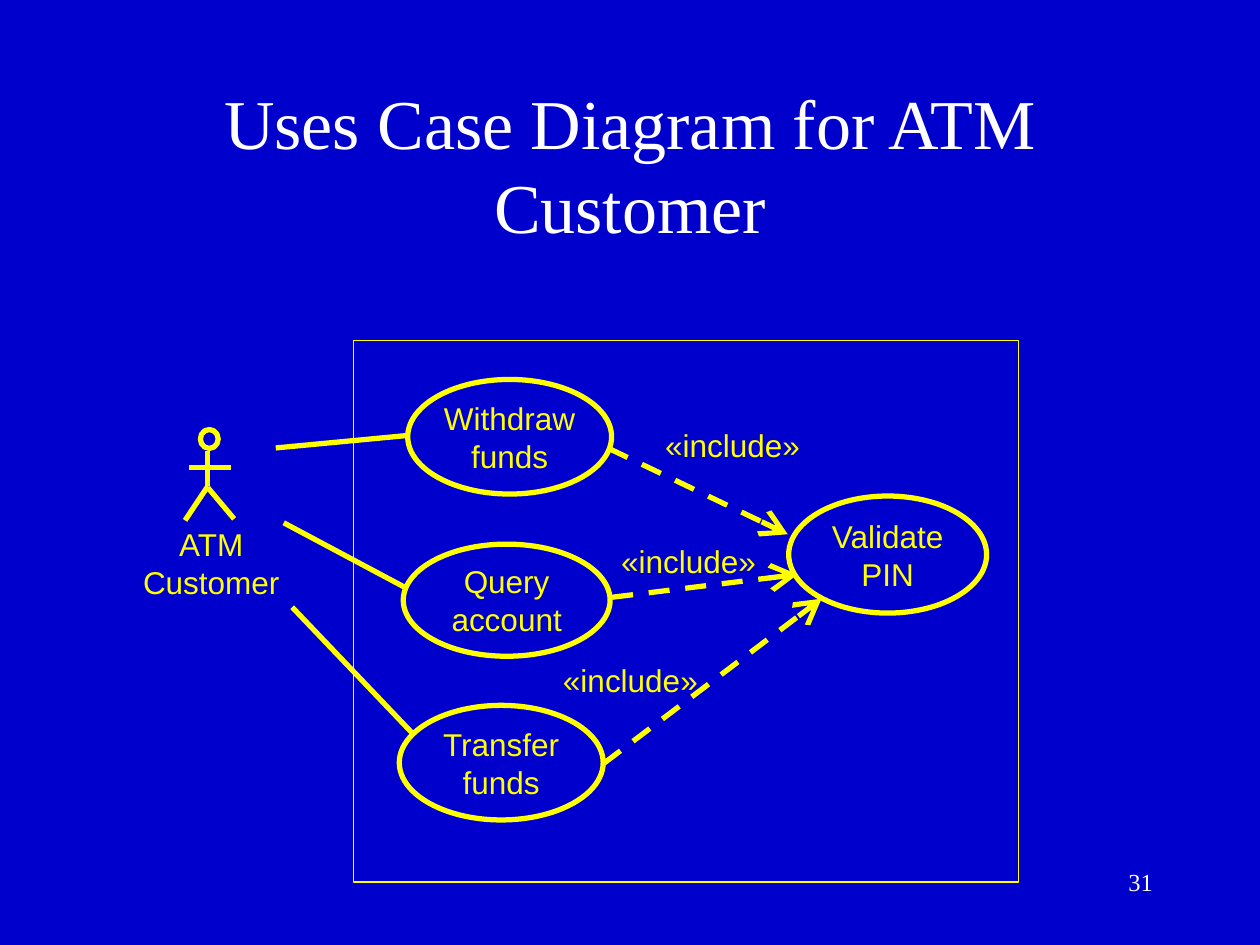
from dataclasses import dataclass

from lxml.etree import SubElement
from pptx import Presentation
from pptx.dml.color import RGBColor
from pptx.enum.dml import MSO_LINE
from pptx.enum.shapes import MSO_CONNECTOR, MSO_SHAPE
from pptx.enum.text import MSO_ANCHOR as Anchor, PP_ALIGN as Align
from pptx.oxml.ns import qn
from pptx.shapes.autoshape import Shape
from pptx.slide import Slide
from pptx.text.text import TextFrame
from pptx.util import Cm, Pt

BLUE = RGBColor(0x00, 0x00, 0xCC)
YELLOW = RGBColor(0xFF, 0xFF, 0x00)
WHITE = RGBColor(0xFF, 0xFF, 0xFF)


@dataclass(frozen=True)
class Box:
    left: float
    top: float
    width: float
    height: float


@dataclass(frozen=True)
class Label:
    text: str
    box: Box
    font: str = "Arial"
    size: float = 18
    color: RGBColor = YELLOW
    align: Align = Align.LEFT
    anchor: Anchor = Anchor.TOP
    wrap: bool = False


@dataclass(frozen=True)
class UseCase:
    name: str
    box: Box


@dataclass(frozen=True)
class Segment:
    x1: float
    y1: float
    x2: float
    y2: float
    dashed_arrow: bool = False


SYSTEM_BOUNDARY = Box(7.13, 6.86, 13.41, 10.92)
ACTOR_HEAD = Box(4.04, 8.66, 0.36, 0.38)
ACTOR_LIMBS = [
    Segment(3.81, 9.42, 4.65, 9.42),
    Segment(4.19, 9.09, 4.19, 9.8),
    Segment(4.19, 9.8, 3.73, 10.49),
    Segment(4.19, 9.83, 4.72, 10.46),
]
USE_CASES = [
    UseCase("Withdraw\nfunds", Box(8.22, 7.65, 4.11, 2.31)),
    UseCase("Query\naccount", Box(8.13, 10.97, 4.17, 2.26)),
    UseCase("Transfer\nfunds", Box(8.05, 14.22, 4.11, 2.31)),
    UseCase("Validate\nPIN", Box(15.9, 10.0, 3.99, 2.36)),
]
ASSOCIATIONS = [
    Segment(5.56, 9.03, 8.2, 8.78),
    Segment(5.72, 10.54, 8.2, 11.86),
    Segment(5.89, 12.24, 8.36, 14.83),
]
INCLUDES = [
    Segment(12.27, 9.04, 15.88, 10.77, True),
    Segment(12.34, 12.04, 16.08, 11.58, True),
    Segment(12.17, 15.39, 16.56, 12.07, True),
]
INCLUDE_CORNERS = [(13.16, 8.46), (12.27, 10.8), (11.1, 13.21)]
LABELS = [
    Label("Uses Case Diagram for ATM Customer", Box(1.91, 1.7, 21.59, 3.18),
          "Times New Roman", 40, WHITE, Align.CENTER, Anchor.MIDDLE, True),
    Label("ATM\nCustomer", Box(2.26, 10.46, 4, 1.78),
          align=Align.CENTER, anchor=Anchor.MIDDLE),
    *(Label("«include»", Box(left, top, 3.23, 1.02)) for left, top in INCLUDE_CORNERS),
    Label("31", Box(18.21, 17.35, 5.28, 1.27), "Times New Roman", 14, WHITE,
          Align.RIGHT, wrap=True),
]


def lengths(box: Box) -> tuple[Cm, Cm, Cm, Cm]:
    return Cm(box.left), Cm(box.top), Cm(box.width), Cm(box.height)


def write_text(text_frame: TextFrame, label: Label) -> None:
    text_frame.text = label.text
    text_frame.word_wrap = label.wrap
    text_frame.vertical_anchor = label.anchor
    for paragraph in text_frame.paragraphs:
        paragraph.alignment = label.align
        for run in paragraph.runs:
            run.font.name = label.font
            run.font.size = Pt(label.size)
            run.font.color.rgb = label.color


def draw_label(slide: Slide, label: Label) -> None:
    write_text(slide.shapes.add_textbox(*lengths(label.box)).text_frame, label)


def draw_outline(slide: Slide, kind: MSO_SHAPE, box: Box, width: float = 3) -> Shape:
    shape = slide.shapes.add_shape(kind, *lengths(box))
    shape.shadow.inherit = False
    shape.fill.background()
    shape.line.color.rgb = YELLOW
    shape.line.width = Pt(width)
    return shape


def draw_use_case(slide: Slide, use_case: UseCase) -> None:
    shape = draw_outline(slide, MSO_SHAPE.OVAL, use_case.box)
    label = Label(use_case.name, use_case.box, align=Align.CENTER, anchor=Anchor.MIDDLE)
    write_text(shape.text_frame, label)


def draw_segment(slide: Slide, segment: Segment) -> None:
    connector = slide.shapes.add_connector(
        MSO_CONNECTOR.STRAIGHT,
        Cm(segment.x1), Cm(segment.y1), Cm(segment.x2), Cm(segment.y2))
    connector.line.color.rgb = YELLOW
    connector.line.width = Pt(3)
    if segment.dashed_arrow:
        connector.line.dash_style = MSO_LINE.DASH
        SubElement(connector.line._get_or_add_ln(), qn("a:tailEnd"),
                   type="arrow", w="lg", len="lg")
    SubElement(connector._element.spPr, qn("a:effectLst"))


def main() -> None:
    presentation = Presentation()
    presentation.slide_width = Cm(25.4)
    presentation.slide_height = Cm(19.05)
    slide = presentation.slides.add_slide(presentation.slide_layouts[6])
    slide.background.fill.solid()
    slide.background.fill.fore_color.rgb = BLUE

    draw_outline(slide, MSO_SHAPE.RECTANGLE, SYSTEM_BOUNDARY, 0.75)
    draw_outline(slide, MSO_SHAPE.FLOWCHART_CONNECTOR, ACTOR_HEAD)
    for use_case in USE_CASES:
        draw_use_case(slide, use_case)
    for segment in ACTOR_LIMBS + ASSOCIATIONS + INCLUDES:
        draw_segment(slide, segment)
    for label in LABELS:
        draw_label(slide, label)
    presentation.save("out.pptx")


if __name__ == "__main__":
    main()
